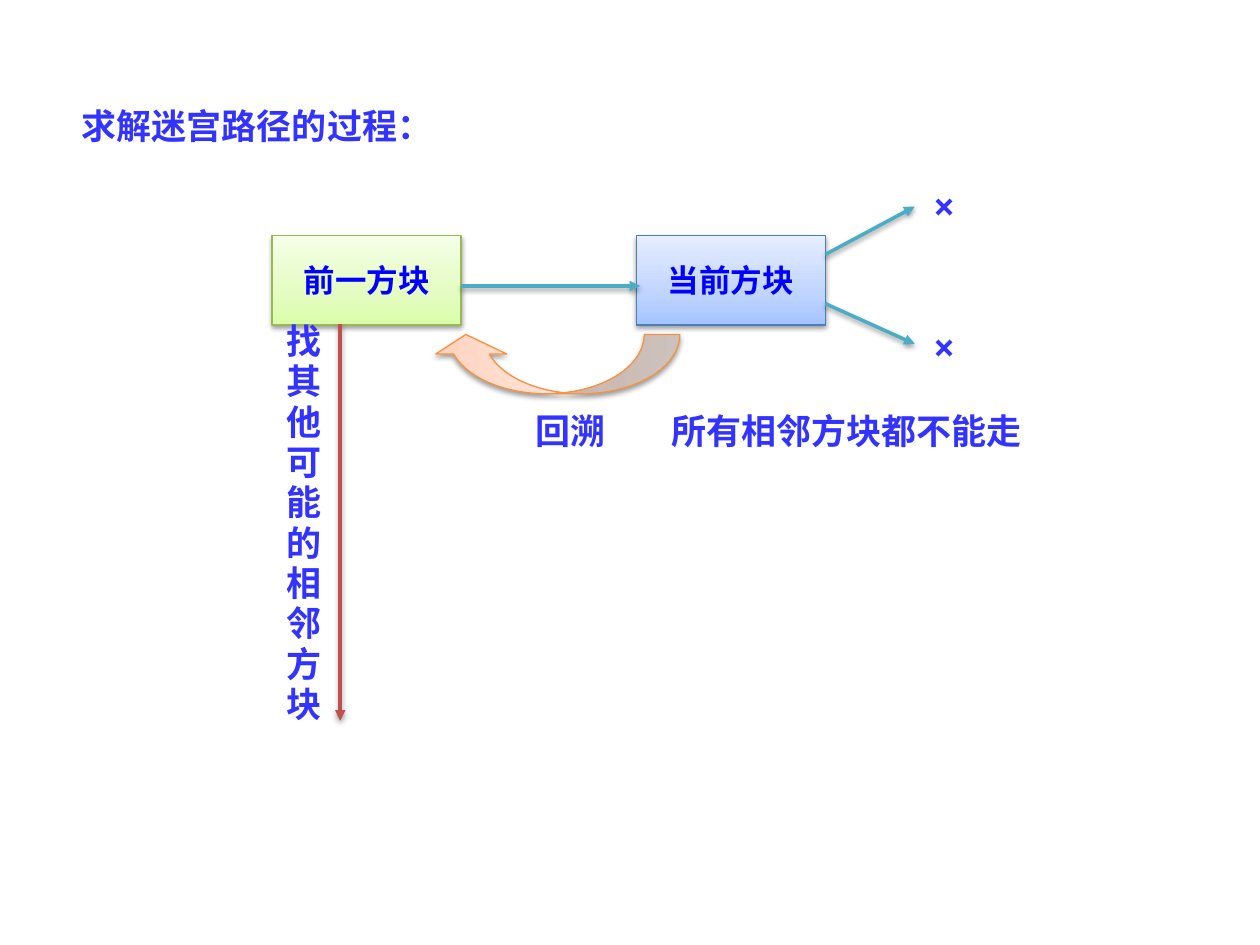
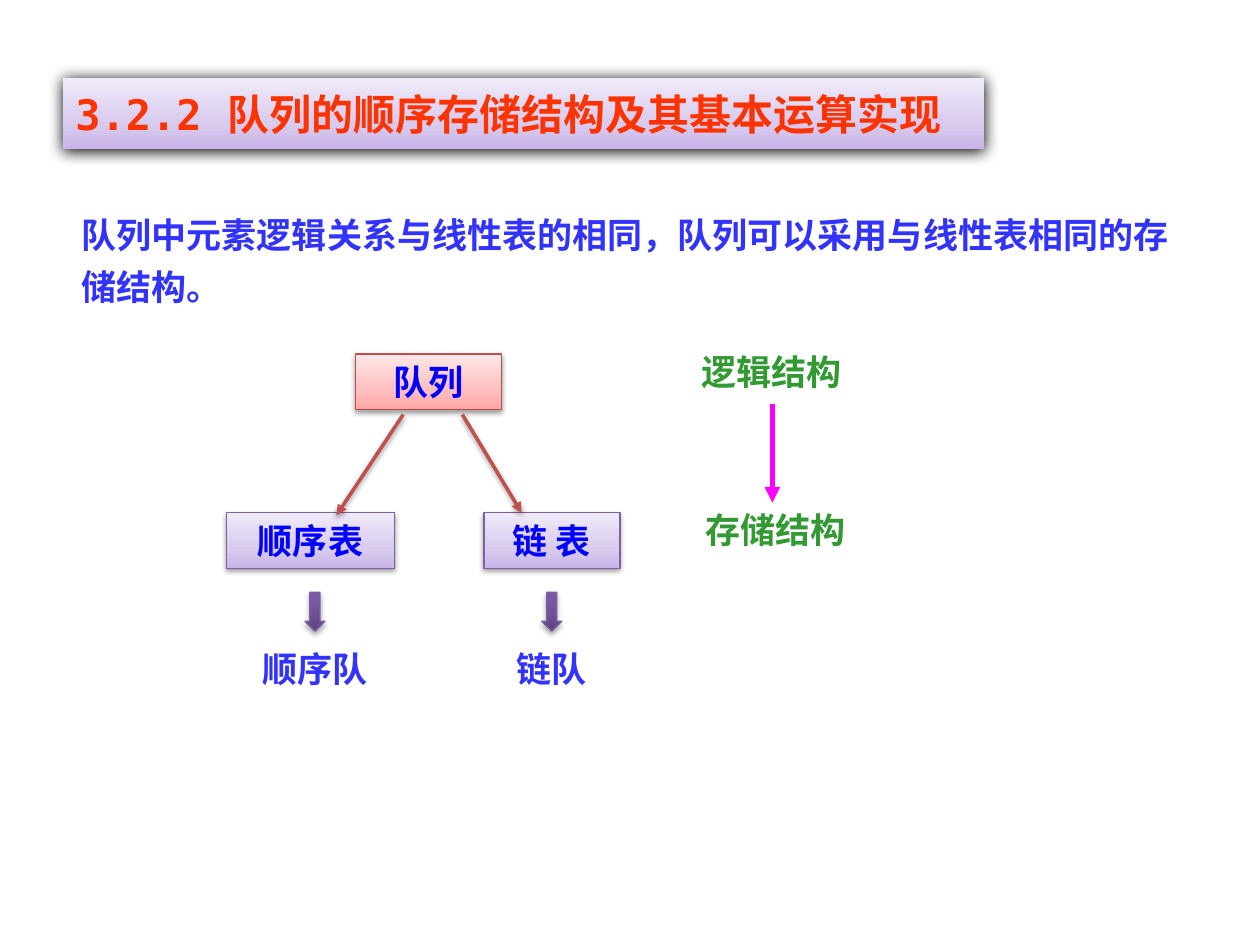
from lxml.etree import SubElement as Sub
from pptx import Presentation
from pptx.dml.color import RGBColor as RGB
from pptx.enum.lang import MSO_LANGUAGE_ID as Lang
from pptx.enum.shapes import MSO_CONNECTOR as Conn, MSO_SHAPE as Geom
from pptx.enum.text import MSO_ANCHOR as Anchor, PP_ALIGN as Align
from pptx.oxml.ns import qn
from pptx.util import Inches, Pt

INK = RGB(0x33, 0x33, 0xFF)
BLUE = RGB(0x00, 0x00, 0xFF)
GREEN = RGB(0x33, 0x99, 0x33)
ORANGE = RGB(0xFF, 0x33, 0x00)
TEAL = RGB(0x4B, 0xAC, 0xC6)
BRICK = RGB(0xC0, 0x50, 0x4D)
PINK = RGB(0xFF, 0x00, 0xFF)
BLACK = RGB(0x00, 0x00, 0x00)

MONO, SANS, KANJI = "DejaVu Sans Mono", "Noto Sans CJK SC", "Noto Sans CJK JP"
SERIF, PLAIN = "Times New Roman", "Calibri"


def shades(*stops):
    return [(at, RGB.from_string(tone)) for at, tone in stops]


# Each skin: gradient from bottom to top, then the outline colour
LILAC = shades((0, "C9B5E8"), (35, "D8CBEE"), (100, "F0EAF9"))
PLUM = RGB(0x7D, 0x60, 0xA0)
SKINS = {
    "lime": (shades((0, "DAFDA7"), (35, "E4FCC2"), (100, "F5FFE7")), RGB(0x98, 0xB9, 0x55)),
    "sky": (shades((0, "A4C4FF"), (35, "BFD4FF"), (100, "E6EEFF")), RGB(0x4B, 0x7E, 0xBC)),
    "peach": (shades((0, "FFD2BD"), (35, "FFDED0"), (100, "FFF2ED")), RGB(0xF6, 0x92, 0x40)),
    "rose": (shades((0, "FFA6A5"), (35, "FFC0BF"), (100, "FFE7E7")), RGB(0xBF, 0x4C, 0x48)),
    "lilac": (LILAC, PLUM),
    "band": (LILAC, None),
    "grape": (shades((0, "5F4480"), (80, "7B58A6"), (100, "7C57A8")), PLUM),
}
# Opacity in percent, blur and distance in points
SOFT, DEEP, HARD = (38, 3.1, 1.6), (35, 3.1, 1.8), (100, 8.5, 1)

ROW = 0.44
LEFT = 0.55

# Maze slide
BOX_Y, BOX_W, BOX_H = 1.87, 1.5, 0.71
BLOCKS = [("前一方块", 2.16, "lime"), ("当前方块", 5.05, "sky")]
MOVES = [
    (3.66, 2.27, 5.08, 2.27, TEAL),
    (6.55, 2.02, 7.26, 1.64, TEAL),
    (6.55, 2.41, 7.26, 2.73, TEAL),
    (2.7, 2.57, 2.7, 5.72, BRICK),
]
MAZE = [
    ("求解迷宫路径的过程：", (LEFT, 0.78, 3.7, ROW), MONO, Align.LEFT),
    ("×", (7.18, 1.41, 0.63, ROW), MONO, Align.CENTER),
    ("×", (7.18, 2.53, 0.63, ROW), MONO, Align.CENTER),
    ("回溯", (4.06, 3.2, 0.94, ROW), KANJI, Align.CENTER),
    ("所有相邻方块都不能走", (5.23, 3.2, 3.13, ROW), SANS, Align.LEFT),
]
SIDE = "找其他可能的相邻方块"

# Queue slide
TITLE = "3.2.2 队列的顺序存储结构及其基本运算实现"
INTRO = "队列中元素逻辑关系与线性表的相同，队列可以采用与线性表相同的存储结构。"
LEVELS = [("逻辑结构", 5.47, 2.73, 1.48), ("存储结构", 5.5, 3.99, 1.57)]
NODES = [
    ("队列", 2.82, 2.81, 1.16, "rose", PLAIN),
    ("顺序表", 1.8, 4.07, 1.33, "lilac", SANS),
    ("链 表", 3.84, 4.07, 1.08, "lilac", SANS),
]
FORKS = [(3.2, 3.29, 2.67, 4.09), (3.67, 3.29, 4.14, 4.07)]
KINDS = [("顺序队", 2.5), ("链队", 4.38)]  # text, centre


def assign(item, values):
    for name, value in values.items():
        setattr(item, name, value)


def write(shape, text, face=SANS, color=INK, size=20, align=Align.CENTER,
          frame=None, gap=None):
    body = shape.text_frame
    assign(body, {"word_wrap": True, "vertical_anchor": Anchor.TOP, **(frame or {})})
    para = body.paragraphs[0]
    assign(para, {"alignment": align, "line_spacing": gap})
    run = para.add_run()
    run.text = text
    assign(run.font, {"name": face, "size": Pt(size), "bold": True,
                      "language_id": Lang.SIMPLIFIED_CHINESE})
    run.font.color.rgb = color
    east = face if face == KANJI else SANS
    Sub(run.font._element, qn("a:ea"), typeface=east)
    return run


def label(slide, text, box, *args, **style):
    shape = slide.shapes.add_textbox(*map(Inches, box))
    return shape, write(shape, text, *args, **style)


def shade(effects, look):
    """Add a drop shadow that falls straight down."""
    alpha, blur, dist = look
    drop = Sub(effects, qn("a:outerShdw"), blurRad=str(Pt(blur)), dist=str(Pt(dist)),
               dir="5400000", rotWithShape="0")
    tone = Sub(drop, qn("a:srgbClr"), val=str(BLACK))
    Sub(tone, qn("a:alpha"), val=str(alpha * 1000))


def block(slide, geom, box, skin, look=SOFT):
    shape = slide.shapes.add_shape(geom, *map(Inches, box))
    stops, edge = SKINS[skin]
    shape.fill.gradient()
    shape.fill.gradient_angle = 90
    props = shape._element.spPr
    ramp = props.find(qn("a:gradFill")).find(qn("a:gsLst"))
    for old in list(ramp):
        ramp.remove(old)
    for at, tone in stops:
        stop = Sub(ramp, qn("a:gs"), pos=str(at * 1000))
        Sub(stop, qn("a:srgbClr"), val=str(tone))
    if edge is None:
        shape.line.fill.background()
    else:
        shape.line.color.rgb = edge
        shape.line.width = Pt(0.75)
    shape.shadow.inherit = False
    shade(props.find(qn("a:effectLst")), look)
    return shape


def arrow(slide, ends, color, width=2, look=SOFT):
    line = slide.shapes.add_connector(Conn.STRAIGHT, *map(Inches, ends))
    line.line.color.rgb = color
    line.line.width = Pt(width)
    props = line._element.spPr
    Sub(props.find(qn("a:ln")), qn("a:tailEnd"), type="triangle")
    effects = Sub(props, qn("a:effectLst"))
    if look:
        shade(effects, look)


def maze(slide):
    for text, x, skin in BLOCKS:
        shape = block(slide, Geom.RECTANGLE, (x, BOX_Y, BOX_W, BOX_H), skin)
        write(shape, text, MONO, BLUE, 18,
              frame={"word_wrap": False, "vertical_anchor": Anchor.MIDDLE})
    for *ends, color in MOVES:
        arrow(slide, ends, color)
    back = block(slide, Geom.CURVED_LEFT_ARROW, (4.17, 1.9, 0.47, 1.98), "peach")
    back.rotation = 90
    for i, value in enumerate((0.6, 1.2, 0.33)):
        back.adjustments[i] = value
    for text, box, face, align in MAZE:
        label(slide, text, box, face, align=align)
    sides = ("left", "top", "right", "bottom")
    shape, run = label(slide, SIDE, (2.23, 2.57, 0.34, 3.29),
                       frame={f"margin_{side}": 0 for side in sides})
    shape.text_frame._txBody.bodyPr.set("vert", "eaVert")
    run.font._element.set("spc", "300")


def queue(slide):
    label(slide, INTRO, (LEFT, 1.56, 8.83, 0.9), SERIF, align=Align.LEFT, gap=Pt(30))
    for text, x, y, w in LEVELS:
        label(slide, text, (x, y, w, ROW), color=GREEN, align=Align.LEFT)
    arrow(slide, (6.13, 3.21, 6.13, 3.99), PINK, 3, None)
    for text, x, y, w, skin, face in NODES:
        write(block(slide, Geom.RECTANGLE, (x, y, w, ROW), skin), text, face, BLUE)
    for ends in FORKS:
        arrow(slide, ends, BRICK)
    for text, mid in KINDS:
        label(slide, text, (mid - 0.86, 5.09, 1.72, ROW), KANJI)
        block(slide, Geom.DOWN_ARROW, (mid - 0.08, 4.7, 0.16, 0.31), "grape", DEEP)
    band = block(slide, Geom.RECTANGLE, (0.5, 0.62, 7.31, 0.56), "band", HARD)
    pad = Inches(0.08)
    write(band, TITLE, MONO, ORANGE, 24, Align.LEFT,
          {"margin_top": pad, "margin_bottom": pad})


def main():
    deck = Presentation()
    assign(deck, {"slide_width": Inches(10), "slide_height": Inches(7.5)})
    for draw in (maze, queue):
        draw(deck.slides.add_slide(deck.slide_layouts[6]))
    deck.save("out.pptx")


if __name__ == "__main__":
    main()
